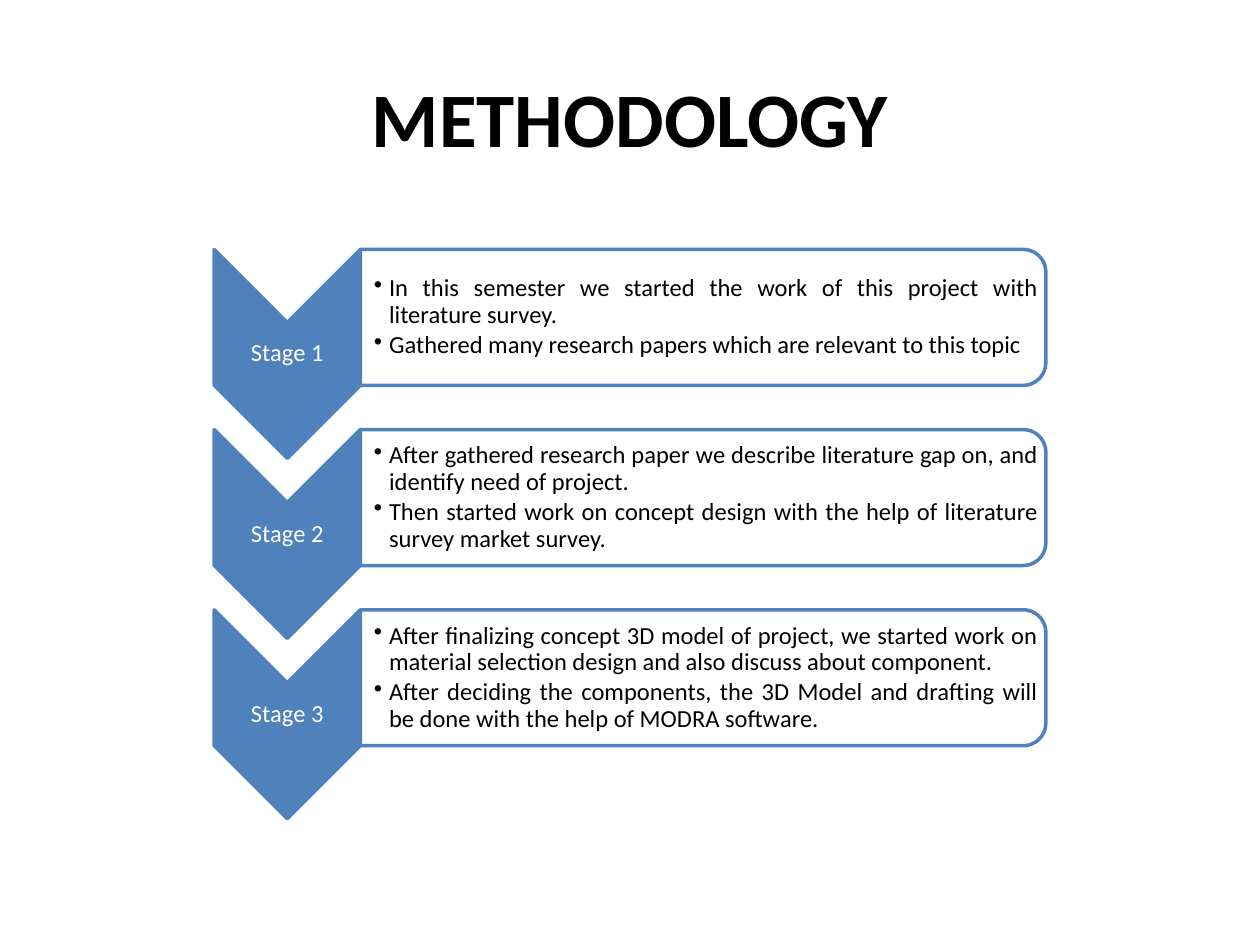
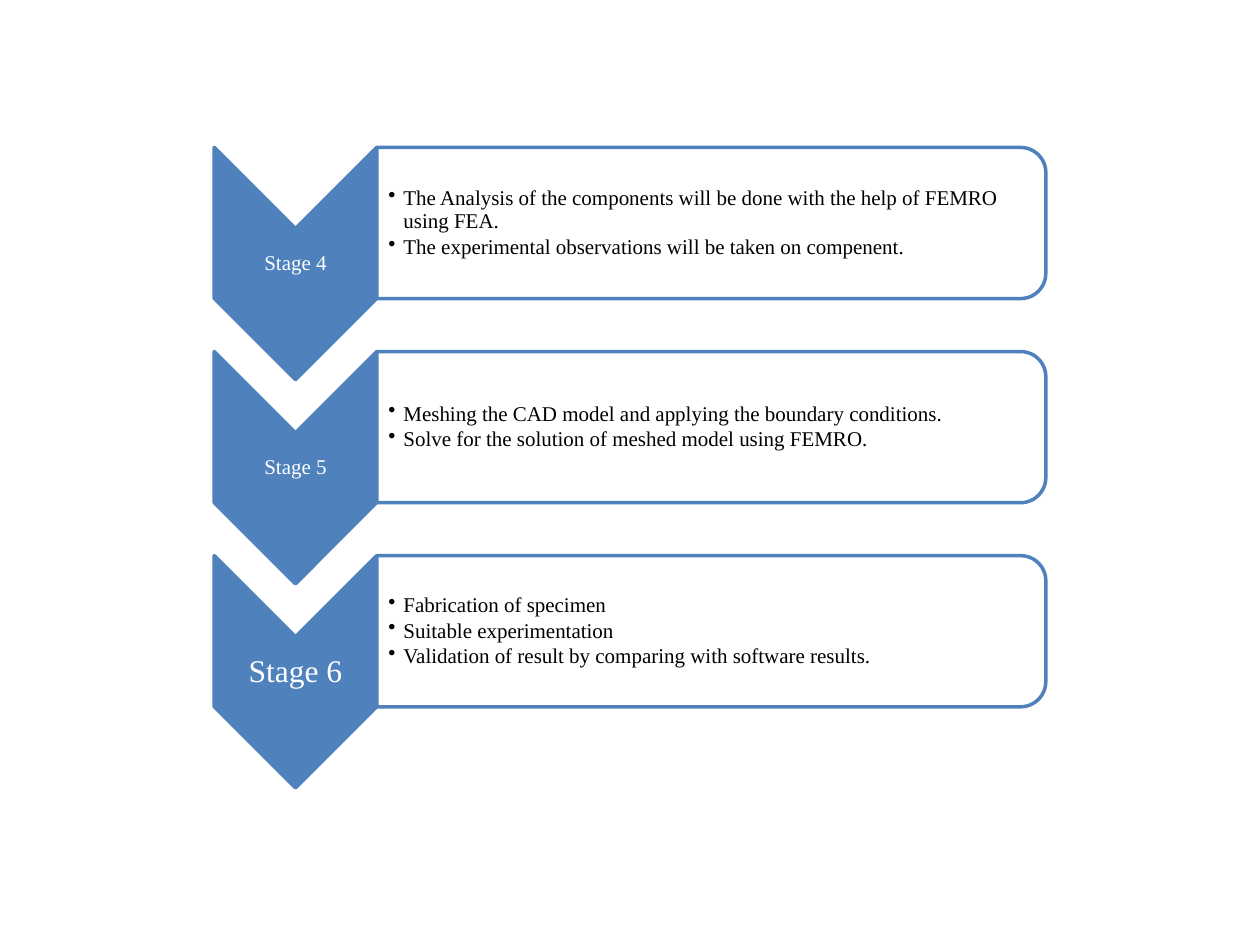
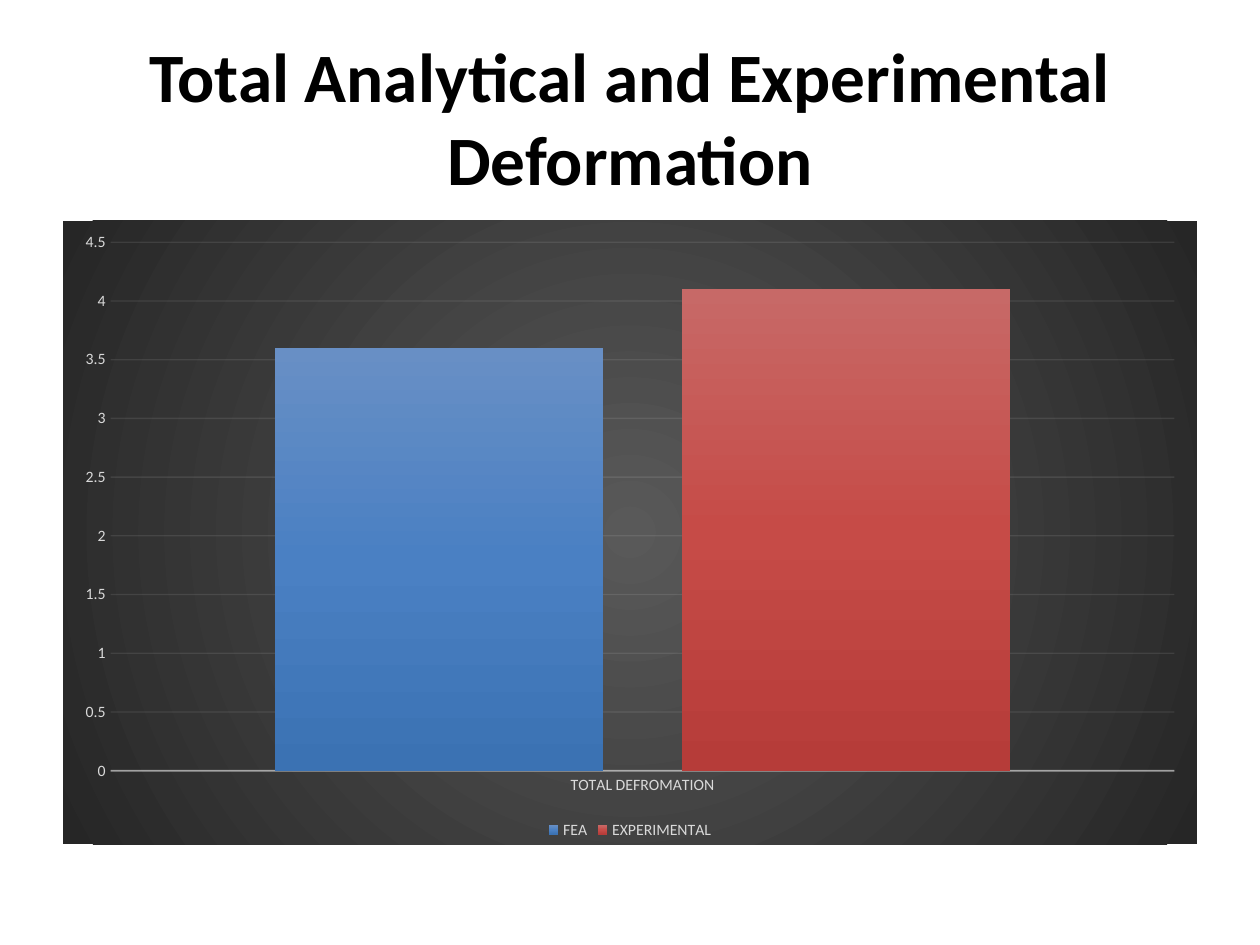
from lxml.etree import SubElement
from pptx import Presentation
from pptx.chart.data import CategoryChartData as ChartData
from pptx.dml.color import RGBColor
from pptx.enum.chart import XL_CHART_TYPE as Chart, XL_LEGEND_POSITION as Place, XL_TICK_MARK as Tick
from pptx.enum.shapes import MSO_SHAPE as Shape
from pptx.enum.text import MSO_ANCHOR as Anchor, PP_ALIGN as Align
from pptx.oxml import parse_xml
from pptx.oxml.ns import nsdecls, qn
from pptx.util import Emu, Pt

BLUE, WHITE, BLACK = "4F81BD", "FFFFFF", "000000"
PALE, MIST = "D9D9D9", "F2F2F2"
SANS, SERIF = "Calibri", "Times New Roman"
LEFT, RIGHT = 1.7, 8.3

EARLY = [
    ("Stage 1", 14, [
        "In this semester we started the work of this project with literature survey.",
        "Gathered many research papers which are relevant to this topic"]),
    ("Stage 2", 14, [
        "After gathered research paper we describe literature gap on, and identify need of project.",
        "Then started work on concept design with the help of literature survey market survey."]),
    ("Stage 3", 14, [
        "After finalizing concept 3D model of project, we started work on material selection "
        "design and also discuss about component.",
        "After deciding the components, the 3D Model and drafting will be done with the help "
        "of MODRA software."]),
]
LATE = [
    ("Stage 4", 12, [
        "The Analysis of the components will be done with the help of FEMRO using FEA.",
        "The experimental observations will be taken on compenent."]),
    ("Stage 5", 12, [
        "Meshing the CAD model and applying the boundary conditions.",
        "Solve for the solution of meshed model using FEMRO."]),
    ("Stage 6", 18, [
        "Fabrication of specimen",
        "Suitable experimentation",
        "Validation of result by comparing with software results."]),
]
BARS = [
    ("FEA", 3.6, [(0, "688FC5"), (50, "4A80C3"), (100, "3B72B3")]),
    ("EXPERIMENTAL", 4.1, [(0, "C76967"), (50, "C64B47"), (100, "B63C39")]),
]


def paint(code):
    """Turn a hex string into a colour."""
    return RGBColor.from_string(code)


def blend(stops, way):
    """Make a gradient fill from (percent, hex) stops and a direction."""
    steps = "".join(f'<a:gs pos="{at * 1000}"><a:srgbClr val="{paint(code)}"/></a:gs>'
                    for at, code in stops)
    return parse_xml(f'<a:gradFill {nsdecls("a")} rotWithShape="1">'
                     f'<a:gsLst>{steps}</a:gsLst>{way}</a:gradFill>')


def style(font, face, size, code, bold=False):
    """Set the look of a font."""
    font.name, font.size, font.bold = face, Pt(size), bold
    font.color.rgb = paint(code)


def rule(line, code, width, alpha):
    """Draw a see-through chart line."""
    line.width = Pt(width)
    line.color.rgb = paint(code)
    tint = line._ln.find(".//" + qn("a:srgbClr"))
    SubElement(tint, qn("a:alpha")).set("val", str(alpha * 1000))


class Deck:
    """Hold the style and the current slide, on a grid ten columns wide."""

    def __init__(self):
        """Start an empty deck of 10 by 7.5 grid cells."""
        self.show = Presentation()
        self.show.slide_width, self.show.slide_height = Pt(720), Pt(540)
        self.cell = self.show.slide_width / 10
        self.slide = None

    def grid(self, *cells):
        """Turn grid cells into lengths."""
        return [Emu(round(n * self.cell)) for n in cells]

    def page(self):
        """Add a blank slide."""
        self.slide = self.show.slides.add_slide(self.show.slide_layouts[6])

    def text(self, box, lines, face, size, code, align, bold=False, pads=None,
             tight=1.0, dots=False):
        """Add a centred-height text box, with bullets if asked."""
        frame = self.slide.shapes.add_textbox(*self.grid(*box)).text_frame
        frame.word_wrap, frame.vertical_anchor = True, Anchor.MIDDLE
        if pads:
            (frame.margin_left, frame.margin_top,
             frame.margin_right, frame.margin_bottom) = self.grid(*pads)
        for spot, line in enumerate(lines):
            para = frame.add_paragraph() if spot else frame.paragraphs[0]
            para.text, para.alignment, para.line_spacing = line, align, tight
            if dots:
                para.space_after = Pt(0.15 * size)
                props = para._p.get_or_add_pPr()
                dent = self.grid(0.12)[0]
                props.set("marL", str(dent))
                props.set("indent", str(-dent))
                SubElement(props, qn("a:buChar")).set("char", "•")
            style(para.font, face, size, code, bold)

    def title(self, words, size):
        """Add the slide title."""
        self.text((0.5, 0.3, 9, 1.25), [words], SANS, size, BLACK, Align.CENTER, bold=True)

    def turned(self, kind, x, y, wide, high, code):
        """Add a shape turned a quarter so that it fills the given box."""
        shift = (wide - high) / 2
        item = self.slide.shapes.add_shape(
            kind, *self.grid(x + shift, y - shift, high, wide))
        item.rotation, item.shadow.inherit = 90, False
        item.fill.solid()
        item.fill.fore_color.rgb = paint(code)
        item.line.color.rgb = paint(BLUE)
        item.line.width = Pt(2)

    def stages(self, rows, top, step, wide, face, size, align):
        """Stack chevrons with a bulleted panel beside each."""
        edge, high = LEFT + wide, 0.93 * wide
        for spot, (name, big, lines) in enumerate(rows):
            y = top + spot * step
            self.turned(Shape.CHEVRON, LEFT, y, wide, wide / 0.7, BLUE)
            self.text((LEFT, y + wide / 2, wide, 0.43 * wide), [name], face, big, WHITE,
                      Align.CENTER, pads=[0.01] * 4, tight=0.9)
            self.turned(Shape.ROUND_2_SAME_RECTANGLE, edge, y, RIGHT - edge, high, WHITE)
            self.text((edge, y + 0.05, RIGHT - edge - 0.05, high - 0.1), lines, face, size,
                      BLACK, align, pads=(size / 130, 0.01, 0.01, 0.01), tight=0.9, dots=True)

    def columns(self, box, label, bars):
        """Add the dark column chart."""
        data = ChartData()
        data.categories = [label]
        for name, value, _ in bars:
            data.add_series(name, [value])
        chart = self.slide.shapes.add_chart(
            Chart.COLUMN_CLUSTERED, *self.grid(*box), data).chart
        style(chart.font, SANS, 10, BLACK)
        chart.has_title, chart.has_legend = False, True
        chart.legend.position, chart.legend.include_in_layout = Place.BOTTOM, False
        style(chart.legend.font, SANS, 9, PALE)

        back = parse_xml(f'<c:spPr {nsdecls("c", "a")}><a:ln><a:noFill/></a:ln></c:spPr>')
        back.insert(0, blend([(0, "595959"), (100, "262626")],
                             '<a:path path="circle"><a:fillToRect l="50000" t="50000" '
                             'r="50000" b="50000"/></a:path>'))
        chart._chartSpace.find(qn("c:txPr")).addprevious(back)

        plot = chart.plots[0]
        plot.gap_width, plot.overlap, plot.vary_by_categories = 100, -24, False
        for series, (_, _, stops) in zip(plot.series, bars):
            series.format.line.fill.background()
            series._element.get_or_add_spPr().insert(
                0, blend(stops, '<a:lin ang="5400000" scaled="0"/>'))

        floor, scale = chart.category_axis, chart.value_axis
        for axis in (floor, scale):
            axis.major_tick_mark = axis.minor_tick_mark = Tick.NONE
            style(axis.tick_labels.font, SANS, 9, PALE)
        rule(floor.format.line, MIST, 1, 54)
        scale.minimum_scale = 0
        scale.format.line.fill.background()
        rule(scale.major_gridlines.format.line, MIST, 0.75, 10)


def main():
    """Build the three slides."""
    deck = Deck()
    deck.page()
    deck.title("METHODOLOGY", 44)
    deck.stages(EARLY, 1.98, 1.43, 1.16, SANS, 14, Align.JUSTIFY)
    deck.page()
    deck.stages(LATE, 1.17, 1.62, 1.29, SERIF, 12, Align.LEFT)
    deck.page()
    deck.title("Total Analytical and Experimental Deformation", 39.6)
    deck.columns((0.5, 1.75, 9, 4.95), "TOTAL DEFROMATION", BARS)
    deck.show.save("out.pptx")


if __name__ == "__main__":
    main()
